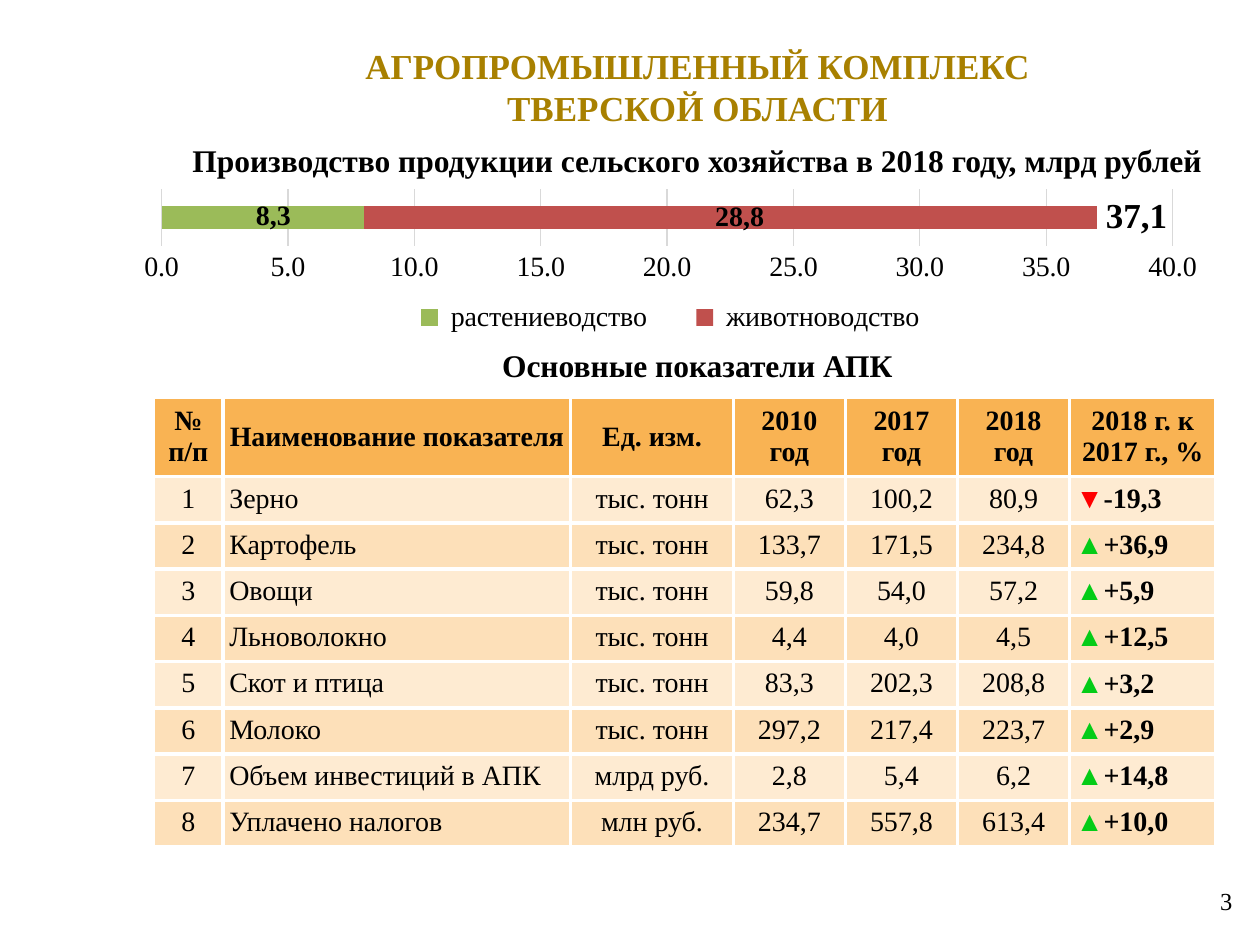
from dataclasses import dataclass

from lxml import etree
from pptx import Presentation
from pptx import util as u
from pptx.chart import data as chart_data
from pptx.dml import color
from pptx.enum import chart as ch, text
from pptx.oxml import ns


@dataclass(frozen=True)
class Theme:
    font: str = "Times New Roman"
    symbol_font: str = "Arial"
    black: str = "000000"
    white: str = "FFFFFF"
    gold: str = "A88000"
    crops: str = "9BBB59"
    livestock: str = "C0504D"
    grid: str = "D9D9D9"
    header: str = "F9B353"
    bands: tuple = ("FEEBD2", "FDE0B9")
    up: str = "04CC17"
    down: str = "FF0000"
    title: int = 20
    heading: int = 18
    body: int = 16
    page: int = 14


T = Theme()
LEFT, CENTER, RIGHT = text.PP_ALIGN.LEFT, text.PP_ALIGN.CENTER, text.PP_ALIGN.RIGHT


def style(font, size=T.body, c=T.black, bold=False, name=T.font):
    font.name, font.size, font.bold = name, u.Pt(size), bold
    font.color.rgb = color.RGBColor.from_string(c)


def add_text(s, box, lines, size, c=T.black, bold=True, align=CENTER,
             anchor=text.MSO_ANCHOR.TOP):
    tf = s.shapes.add_textbox(*map(u.Inches, box)).text_frame
    tf.word_wrap = True
    tf.vertical_anchor = anchor
    for i, line in enumerate(lines):
        p = tf.add_paragraph() if i else tf.paragraphs[0]
        p.alignment = align
        r = p.add_run()
        r.text = line
        style(r.font, size, c, bold)


prs = Presentation()
prs.slide_width, prs.slide_height = u.Inches(10), u.Inches(7.5)
s = prs.slides.add_slide(prs.slide_layouts[6])

# Title
add_text(s, (1.07, 0.13, 8.93, 1.12), ["АГРОПРОМЫШЛЕННЫЙ КОМПЛЕКС", "ТВЕРСКОЙ ОБЛАСТИ"],
         T.title, T.gold, anchor=text.MSO_ANCHOR.MIDDLE)

# Production chart
cd = chart_data.CategoryChartData(number_format="0")
cd.categories = ["1"]
cd.add_series(" растениеводство", [8])
cd.add_series(" животноводство", [29])
chart = s.shapes.add_chart(ch.XL_CHART_TYPE.BAR_STACKED, u.Inches(1.07), u.Inches(1.37),
                           u.Inches(8.5), u.Inches(1.37), cd).chart
chart.has_title = False
style(chart.font)
plot = chart.plots[0]
plot.gap_width, plot.overlap, plot.vary_by_categories = 150, 100, False
for series, c in zip(plot.series, (T.crops, T.livestock)):
    series.format.fill.solid()
    series.format.fill.fore_color.rgb = color.RGBColor.from_string(c)

chart.category_axis.visible = False
axis = chart.value_axis
axis.minimum_scale, axis.maximum_scale, axis.major_unit = 0, 40, 5
axis.major_tick_mark = axis.minor_tick_mark = ch.XL_TICK_MARK.NONE
axis.format.line.fill.background()
axis.major_gridlines.format.line.width = u.Pt(0.75)
axis.major_gridlines.format.line.color.rgb = color.RGBColor.from_string(T.grid)
axis.tick_labels.number_format = "#,##0.0"
axis.tick_labels.number_format_is_linked = False
style(axis.tick_labels.font)

chart.has_legend = True
chart.legend.position = ch.XL_LEGEND_POSITION.BOTTOM
chart.legend.include_in_layout = False
style(chart.legend.font)

# Fixed places of the plot area and the legend, as shares of the chart
plot_area = chart._chartSpace.chart.plotArea
legend = chart._chartSpace.chart.find(ns.qn("c:legend"))
for part, index, target, place in (
    (plot_area, 0, [("layoutTarget", "inner")], (0.025, 0.096, 0.944, 0.332)),
    (legend, 1, [], (0.23, 0.74, 0.54, 0.2)),
):
    for old in part.findall(ns.qn("c:layout")):
        part.remove(old)
    layout = etree.Element(ns.qn("c:layout"))
    manual = etree.SubElement(layout, ns.qn("c:manualLayout"))
    for tag, val in (*target, ("xMode", "edge"), ("yMode", "edge"), *zip("xywh", place)):
        etree.SubElement(manual, ns.qn(f"c:{tag}")).set("val", str(val))
    part.insert(index, layout)

# Headings and chart values
for box, line, size in (
    ((1.07, 1.07, 8.93, 0.4),
     "Производство продукции сельского хозяйства в 2018 году, млрд рублей", T.heading),
    ((1.54, 1.52, 1.26, 0.37), "8,3", T.body),
    ((5.24, 1.53, 1.26, 0.37), "28,8", T.body),
    ((8.39, 1.49, 1.26, 0.44), "37,1", T.title),
    ((1.07, 2.7, 8.93, 0.4), "Основные показатели АПК", T.heading),
):
    add_text(s, box, [line], size)

# Indicator table
header = ("№ п/п", "Наименование показателя", "Ед. изм.", "2010 год", "2017 год",
          "2018 год", "2018 г. к 2017 г., %")
indicators = (
    ("Зерно", "тыс. тонн", "62,3", "100,2", "80,9", "-19,3"),
    ("Картофель", "тыс. тонн", "133,7", "171,5", "234,8", "+36,9"),
    ("Овощи", "тыс. тонн", "59,8", "54,0", "57,2", "+5,9"),
    ("Льноволокно", "тыс. тонн", "4,4", "4,0", "4,5", "+12,5"),
    ("Скот и птица", "тыс. тонн", "83,3", "202,3", "208,8", "+3,2"),
    ("Молоко", "тыс. тонн", "297,2", "217,4", "223,7", "+2,9"),
    ("Объем инвестиций в АПК", "млрд руб.", "2,8", "5,4", "6,2", "+14,8"),
    ("Уплачено налогов", "млн руб.", "234,7", "557,8", "613,4", "+10,0"),
)
rows = [header] + [(str(n), *row) for n, row in enumerate(indicators, 1)]
widths = (0.55, 2.76, 1.29, 0.89, 0.89, 0.89, 1.16)
header_height, body_height = 0.61, 2.93
NAME, CHANGE = 1, len(header) - 1
table = s.shapes.add_table(len(rows), len(widths), u.Inches(1.22), u.Inches(3.15),
                           u.Inches(sum(widths)),
                           u.Inches(header_height + body_height)).table
for column, width in zip(table.columns, widths):
    column.width = u.Inches(width)
for i, row in enumerate(rows):
    table.rows[i].height = u.Inches(body_height / len(indicators) if i else header_height)
    for j, value in enumerate(row):
        cell = table.cell(i, j)
        cell.margin_left = cell.margin_right = u.Inches(0.05)
        cell.margin_top = cell.margin_bottom = u.Inches(0.05)
        cell.vertical_anchor = text.MSO_ANCHOR.TOP if i else text.MSO_ANCHOR.MIDDLE
        p = cell.text_frame.paragraphs[0]
        p.alignment = LEFT if i and j in (NAME, CHANGE) else CENTER
        if i and j == CHANGE:
            r = p.add_run()
            falling = value.startswith("-")
            r.text = "▼" if falling else "▲"
            style(r.font, c=T.down if falling else T.up, bold=True, name=T.symbol_font)
        r = p.add_run()
        r.text = value
        style(r.font, bold=i == 0 or j == CHANGE)

        # White borders come before the cell fill
        tc_pr = cell._tc.get_or_add_tcPr()
        for side in ("lnL", "lnR", "lnT", "lnB"):
            ln = etree.SubElement(tc_pr, ns.qn(f"a:{side}"), w=str(u.Pt(2.25)))
            fill = etree.SubElement(ln, ns.qn("a:solidFill"))
            etree.SubElement(fill, ns.qn("a:srgbClr"), val=T.white)
        cell.fill.solid()
        cell.fill.fore_color.rgb = color.RGBColor.from_string(
            T.bands[(i - 1) % 2] if i else T.header)

# Page number
add_text(s, (9.41, 6.98, 0.47, 0.34), ["3"], T.page, bold=False, align=RIGHT)

prs.save("out.pptx")
